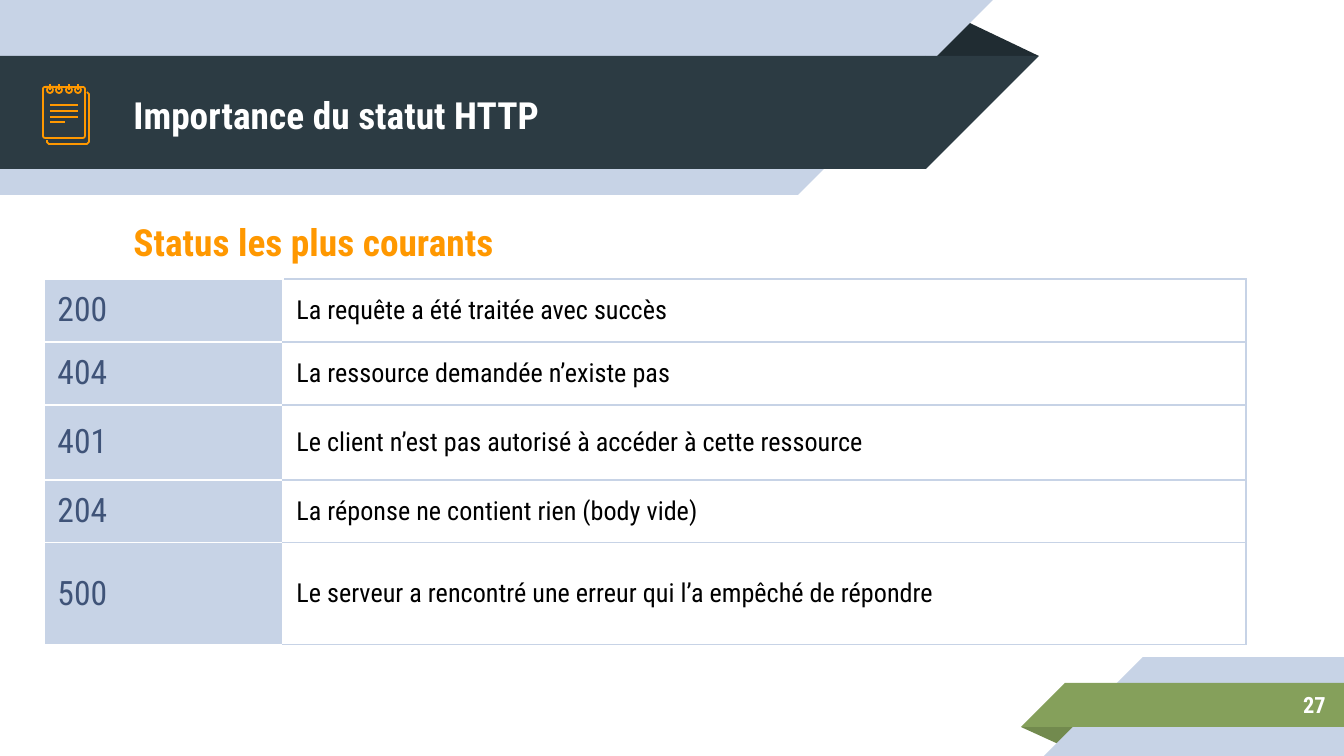
import pptx
import pptx.util
import pptx.dml.color
import pptx.enum.shapes
import pptx.enum.text
import pptx.oxml
import pptx.oxml.ns

SHAPE = pptx.enum.shapes.MSO_SHAPE
ALIGN = pptx.enum.text.PP_ALIGN
ANCHOR = pptx.enum.text.MSO_ANCHOR
PX = 914400 / 134.4
FONT = "Roboto Condensed"
WHITE, BLACK, PALE, DARK, GREEN = "FFFFFF", "000000", "C7D3E6", "2C3B43", "85A05B"
ORANGE, BLUE = "FF9800", "3F5378"

TITLE = "Importance du statut HTTP"
SUBTITLE = "Status les plus courants"
PAGE_NUMBER = "27"
STATUSES = [  # code, meaning, row height
    ("200", "La requête a été traitée avec succès", 63),
    ("404", "La ressource demandée n’existe pas", 63),
    ("401", "Le client n’est pas autorisé à accéder à cette ressource", 75),
    ("204", "La réponse ne contient rien (body vide)", 63),
    ("500", "Le serveur a rencontré une erreur qui l’a empêché de répondre", 102),
]
TABLE_LEFT, TABLE_TOP = 44, 279
COLUMN_WIDTHS = (239, 963)

# preset, (left, top, width, height), colour, flips, rotation
BANDS = [
    (SHAPE.ISOSCELES_TRIANGLE, (925, 19, 114, 37), "202C32", (), 0),
    (SHAPE.RECTANGLE, (0, 0, 798, 195), PALE, (), 0),
    (SHAPE.RIGHT_TRIANGLE, (798, 0, 195, 195), PALE, ("flipV",), 0),
    (SHAPE.RECTANGLE, (0, 56, 926, 113), DARK, (), 0),
    (SHAPE.RIGHT_TRIANGLE, (926, 56, 113, 113), DARK, ("flipV",), 0),
    (SHAPE.ISOSCELES_TRIANGLE, (1021, 727, 58, 18), "728A4E", (), 180),
    (SHAPE.RECTANGLE, (1143, 657, 201, 99), PALE, (), 0),
    (SHAPE.RIGHT_TRIANGLE, (1044, 657, 99, 99), PALE, ("flipH",), 0),
    (SHAPE.RECTANGLE, (1065, 683, 279, 44), GREEN, (), 0),
    (SHAPE.RIGHT_TRIANGLE, (1021, 683, 44, 44), GREEN, ("flipH",), 0),
]

BACK_PAGE = [(47, 140), (47, 142), (49, 144), (87, 144), (89, 142), (89, 94), (87, 92)]
FRONT_PAGE = (43, 87, 42, 51)
RING_CENTRES = (50, 59, 69, 78)
WRITTEN_LINES = [(78, 105), (78, 111), (78, 117), (65, 122)]  # right end, y


def px(*lengths):
    return [round(length * PX) for length in lengths]


def color(hex_string):
    return pptx.dml.color.RGBColor.from_string(hex_string)


def add_filled(shapes, preset, box, fill, flips, rotation):
    shape = shapes.add_shape(preset, *px(*box))
    shape.shadow.inherit = False
    shape.fill.solid()
    shape.fill.fore_color.rgb = color(fill)
    shape.line.fill.background()
    shape.rotation = rotation
    for flip in flips:
        shape._element.spPr.xfrm.set(flip, "1")
    if preset == SHAPE.ISOSCELES_TRIANGLE:
        shape.adjustments[0] = 0.32


def draw_orange(shape):
    """Give an icon part its orange outline, with no fill or shadow."""
    shape.line.color.rgb = color(ORANGE)
    shape.line.width = pptx.util.Pt(0.96)
    if hasattr(shape, "fill"):
        shape.fill.background()
        shape.shadow.inherit = False
    else:
        shape._element.spPr.append(pptx.oxml.parse_xml(
            "<a:effectLst %s/>" % pptx.oxml.ns.nsdecls("a")))


def add_notepad(shapes):
    builder = shapes.build_freeform(*BACK_PAGE[0], scale=PX)
    builder.add_line_segments(BACK_PAGE[1:], close=False)
    draw_orange(builder.convert_to_shape())
    page = shapes.add_shape(SHAPE.ROUNDED_RECTANGLE, *px(*FRONT_PAGE))
    page.adjustments[0] = 0.05
    draw_orange(page)
    strokes = [(50, y, right, y) for right, y in WRITTEN_LINES]
    for x in RING_CENTRES:
        draw_orange(shapes.add_shape(SHAPE.OVAL, *px(x - 3, 87, 6, 6)))
        strokes.append((x, 84, x, 90))
    for stroke in strokes:
        draw_orange(shapes.add_connector(
            pptx.enum.shapes.MSO_CONNECTOR.STRAIGHT, *px(*stroke)))


def write(text_frame, text, size, hex_string, bold=False, align=ALIGN.LEFT):
    text_frame.text = text
    paragraph = text_frame.paragraphs[0]
    paragraph.alignment = align
    font = paragraph.runs[0].font
    font.name, font.size, font.bold = FONT, pptx.util.Pt(size), bold
    font.color.rgb = color(hex_string)
    return paragraph


def place_text(shape, box, anchor):
    shape.left, shape.top, shape.width, shape.height = px(*box)
    frame = shape.text_frame
    frame.word_wrap = True
    frame.auto_size = pptx.enum.text.MSO_AUTO_SIZE.NONE
    frame.vertical_anchor = anchor
    frame.margin_left = frame.margin_right = pptx.util.Inches(0.1)
    frame.margin_top = frame.margin_bottom = pptx.util.Inches(0.1)
    return frame


def set_borders(cell, colors):
    properties = cell._tc.get_or_add_tcPr()
    for side, hex_string in zip("LRTB", colors):
        properties.append(pptx.oxml.parse_xml(
            f'<a:ln{side} {pptx.oxml.ns.nsdecls("a")} w="9525"><a:solidFill>'
            f'<a:srgbClr val="{hex_string}"/></a:solidFill></a:ln{side}>'))


def format_cell(cell, borders, fill=None):
    set_borders(cell, borders)
    cell.vertical_anchor = ANCHOR.MIDDLE
    cell.margin_left = cell.margin_right = pptx.util.Inches(0.1)
    cell.margin_top = cell.margin_bottom = pptx.util.Inches(0.07)
    if fill:
        cell.fill.solid()
        cell.fill.fore_color.rgb = color(fill)
    else:
        cell.fill.background()


def add_status_table(shapes):
    heights = [height for _, _, height in STATUSES]
    table = shapes.add_table(len(STATUSES), 2, *px(
        TABLE_LEFT, TABLE_TOP, sum(COLUMN_WIDTHS), sum(heights))).table
    table.first_row = table.horz_banding = False
    for column, width in zip(table.columns, px(*COLUMN_WIDTHS)):
        column.width = width
    for index, (code, meaning, height) in enumerate(STATUSES):
        table.rows[index].height = px(height)[0]
        code_cell, meaning_cell = table.rows[index].cells
        write(code_cell.text_frame, code, 18, BLUE)
        format_cell(code_cell, [WHITE] * 4, PALE)
        paragraph = write(meaning_cell.text_frame, meaning, 14, BLACK)
        paragraph.space_before = pptx.util.Pt(6)
        paragraph.space_after = pptx.util.Pt(10)
        format_cell(meaning_cell, [WHITE, PALE, PALE, PALE])


def main():
    presentation = pptx.Presentation()
    presentation.slide_width, presentation.slide_height = px(1344, 756)
    slide = presentation.slides.add_slide(presentation.slide_layouts[1])
    shapes = slide.shapes
    title, body = shapes.title, slide.placeholders[1]

    for band in BANDS:
        add_filled(shapes, *band)

    shapes._spTree.append(title._element)
    write(place_text(title, (120, 58, 773, 113), ANCHOR.MIDDLE), TITLE, 20, WHITE, True)
    number = shapes.add_textbox(0, 0, 0, 0)
    write(place_text(number, (1120, 681, 219, 47), ANCHOR.MIDDLE),
          PAGE_NUMBER, 12, WHITE, True, ALIGN.RIGHT)
    add_notepad(shapes)

    shapes._spTree.append(body._element)
    paragraph = write(place_text(body, (120, 206, 1094, 409), ANCHOR.TOP),
                      SUBTITLE, 20, ORANGE, True)
    paragraph.space_before = pptx.util.Pt(6)
    properties = paragraph._p.get_or_add_pPr()
    properties.set("marL", "0")
    properties.set("indent", "0")
    properties.append(pptx.oxml.parse_xml(
        "<a:buNone %s/>" % pptx.oxml.ns.nsdecls("a")))

    add_status_table(shapes)
    presentation.save("out.pptx")


if __name__ == "__main__":
    main()
